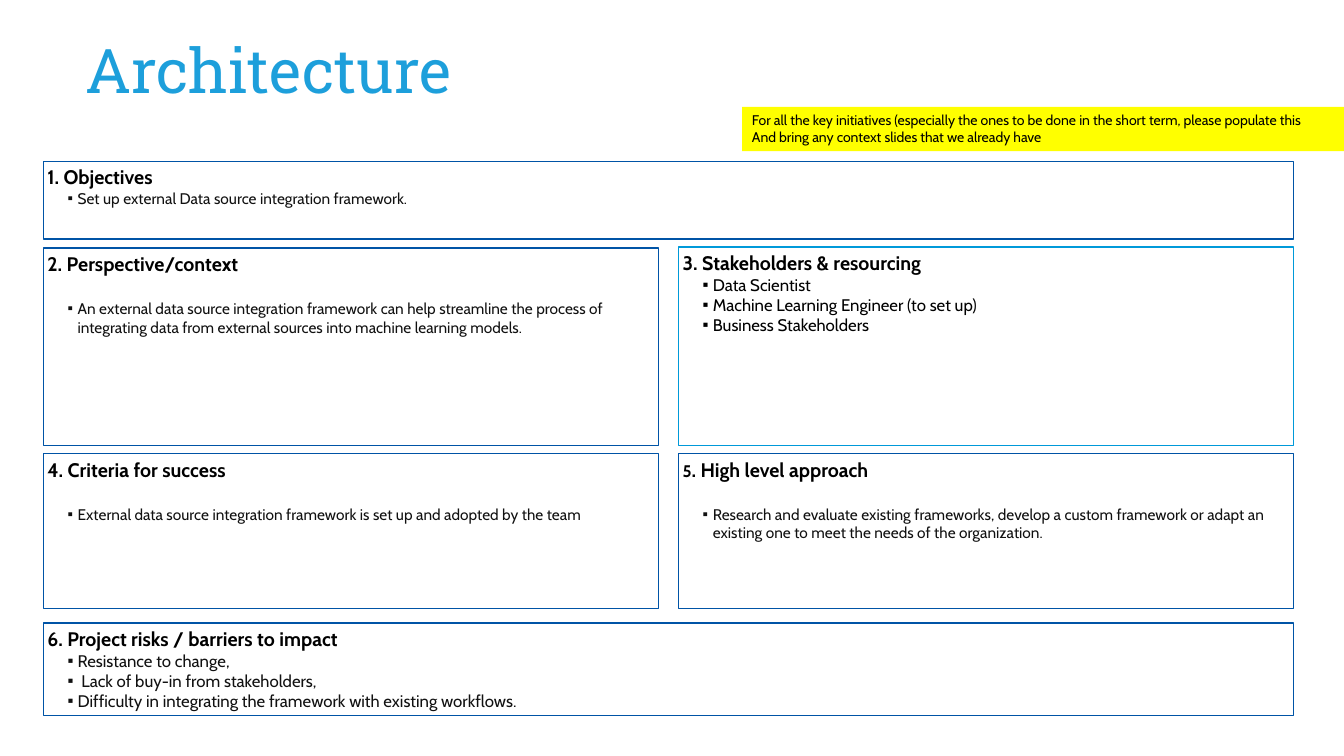
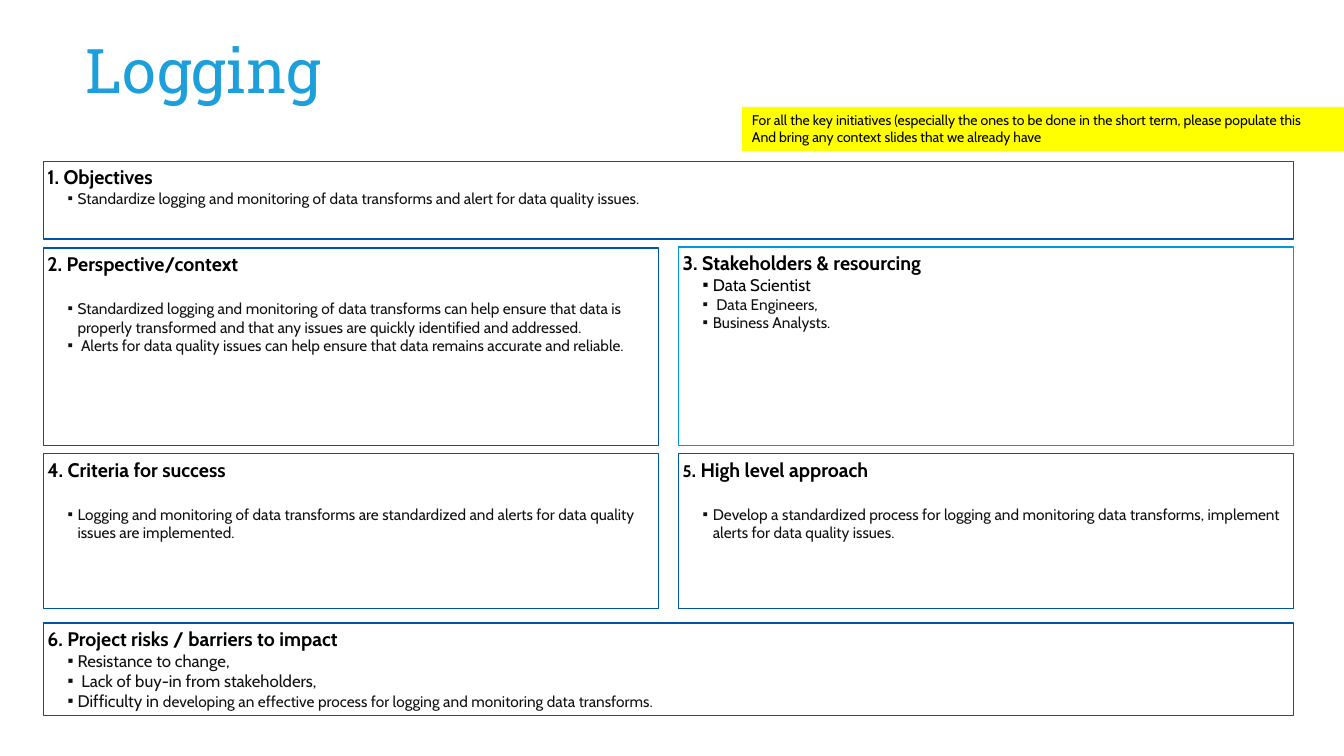
from dataclasses import dataclass

from lxml import etree
from pptx import Presentation
from pptx.dml.color import RGBColor
from pptx.enum import shapes, text
from pptx.oxml import ns
from pptx.util import Inches, Pt

# Colours and fonts
BLACK = RGBColor(0x00, 0x00, 0x00)
INK = RGBColor(0x11, 0x11, 0x11)
NAVY = RGBColor(0x00, 0x54, 0xA6)
SKY = RGBColor(0x00, 0x99, 0xD9)
TITLE_BLUE = RGBColor(0x1D, 0x9F, 0xDB)
YELLOW = RGBColor(0xFF, 0xFF, 0x00)
BODY_FONT, TITLE_FONT = "Cabin", "Roboto Slab"

# Grid of sections, in inches
SLIDE_W, SLIDE_H = 13.33, 7.5
LEFT, HALF, GAP = 0.43, 6.1, 0.2
RIGHT = LEFT + HALF + GAP
FULL = 2 * HALF + GAP
INSET = 0.04
HEADING_GAP = 17  # points, one heading line


@dataclass
class Run:
    wording: str
    size: float = 11
    color: RGBColor = INK


@dataclass
class Section:
    heading: list
    left: float
    top: float
    width: float
    height: float
    border: RGBColor = NAVY
    gap: float = 0


def heading(wording):
    return [Run(wording, 14, BLACK)]


SECTIONS = [
    Section(heading("1. Objectives"), LEFT, 1.6, FULL, 0.77),
    Section(heading("2. Perspective/context"), LEFT, 2.46, HALF, 1.96, gap=HEADING_GAP),
    Section(heading("3. Stakeholders & resourcing"), RIGHT, 2.45, HALF, 1.97, border=SKY),
    Section(heading("4. Criteria for success"), LEFT, 4.5, HALF, 1.54, gap=HEADING_GAP),
    Section([Run("5", 12, BLACK)] + heading(". High level approach"),
            RIGHT, 4.5, HALF, 1.54, gap=HEADING_GAP),
    Section(heading("6. Project risks / barriers to impact"), LEFT, 6.18, FULL, 0.92),
]

NOTE = [
    "For all the key initiatives (especially the ones to be done in the short term, "
    "please populate this",
    "And bring any context slides that we already have",
]

# Bullets that both slides share
DATA_SCIENTIST = [Run("Data Scientist", 12, BLACK)]
SHARED_RISKS = [
    [Run("Resistance to change,", 12)],
    [Run(" Lack of buy-in from stakeholders,", 12)],
]

# Title, then the bullets of each section in order
INITIATIVES = {
    "Architecture": [
        [[Run("Set up external Data source integration framework.")]],
        [[Run("An external data source integration framework can help streamline the "
              "process of integrating data from external sources into machine learning "
              "models.")]],
        [DATA_SCIENTIST,
         [Run("Machine Learning Engineer (to set up)", 12, BLACK)],
         [Run("Business Stakeholders", 12, BLACK)]],
        [[Run("External data source integration framework is set up and adopted by the "
              "team")]],
        [[Run("Research and evaluate existing frameworks, develop a custom framework or "
              "adapt an existing one to meet the needs of the organization.")]],
        SHARED_RISKS + [
            [Run("Difficulty in integrating the framework with existing workflows.", 12)]],
    ],
    "Logging": [
        [[Run("Standardize logging and monitoring of data transforms and alert for data "
              "quality issues.")]],
        [[Run("Standardized logging and monitoring of data transforms can help ensure "
              "that data is properly transformed and that any issues are quickly "
              "identified and addressed.")],
         [Run(" Alerts for data quality issues can help ensure that data remains "
              "accurate and reliable.")]],
        [DATA_SCIENTIST, [Run(" Data Engineers,")], [Run("Business Analysts.")]],
        [[Run("Logging and monitoring of data transforms are standardized and alerts for "
              "data quality issues are implemented.")]],
        [[Run("Develop a standardized process for logging and monitoring data "
              "transforms, implement alerts for data quality issues.")]],
        SHARED_RISKS + [
            [Run("Difficulty in ", 12),
             Run("developing an effective process for logging and monitoring data "
                 "transforms.")]],
    ],
}


def add_bullet(paragraph):
    """Give the paragraph a square bullet with a hanging indent."""
    props = paragraph._p.get_or_add_pPr()
    props.set("marL", str(Inches(0.3)))
    props.set("indent", str(Inches(-0.1)))
    etree.SubElement(props, ns.qn("a:buFont")).set("typeface", "Arial")
    etree.SubElement(props, ns.qn("a:buChar")).set("char", "▪")


def write(frame, runs, font=BODY_FONT, bold=False, bullet=False, after=0, spacing=None):
    """Write one paragraph, using the empty first one when there is no text yet."""
    paragraph = frame.paragraphs[0] if not frame.text else frame.add_paragraph()
    paragraph.alignment = text.PP_ALIGN.LEFT
    paragraph.space_after = Pt(after)
    if spacing:
        paragraph.line_spacing = spacing
    if bullet:
        add_bullet(paragraph)
    for part in runs:
        run = paragraph.add_run()
        run.text = part.wording
        run.font.name, run.font.size, run.font.bold = font, Pt(part.size), bold
        run.font.color.rgb = part.color


def add_box(slide, left, top, width, height, fill=None, border=None):
    """Add a rectangle and return its wrapped, top-anchored text frame."""
    box = slide.shapes.add_shape(shapes.MSO_SHAPE.RECTANGLE, Inches(left), Inches(top),
                                 Inches(width), Inches(height))
    box.shadow.inherit = False
    if fill is None:
        box.fill.background()
    else:
        box.fill.solid()
        box.fill.fore_color.rgb = fill
    if border is None:
        box.line.fill.background()
    else:
        box.line.color.rgb = border
        box.line.width = Pt(1)
    frame = box.text_frame
    frame.word_wrap = True
    frame.vertical_anchor = text.MSO_ANCHOR.TOP
    return frame


def add_title(slide, wording):
    title = slide.shapes.add_textbox(Inches(0.75), Inches(0.14), Inches(11.7), Inches(1.17))
    frame = title.text_frame
    frame.word_wrap = True
    frame.vertical_anchor = text.MSO_ANCHOR.MIDDLE
    write(frame, [Run(wording, 44, TITLE_BLUE)], font=TITLE_FONT, spacing=0.9)


def add_section(slide, section, bullets):
    frame = add_box(slide, section.left, section.top, section.width, section.height,
                    border=section.border)
    frame.margin_left = frame.margin_right = Inches(INSET)
    frame.margin_top = frame.margin_bottom = Inches(INSET)
    write(frame, section.heading, bold=True, after=section.gap)
    for bullet in bullets:
        write(frame, bullet, bullet=True)


def add_note(slide):
    left = 7.36
    frame = add_box(slide, left, 1.06, SLIDE_W - left, 0.44, fill=YELLOW)
    for line in NOTE:
        write(frame, [Run(line, 10, BLACK)])


def main():
    deck = Presentation()
    deck.slide_width, deck.slide_height = Inches(SLIDE_W), Inches(SLIDE_H)
    for title, section_bullets in INITIATIVES.items():
        slide = deck.slides.add_slide(deck.slide_layouts[6])
        add_title(slide, title)
        for section, bullets in zip(SECTIONS, section_bullets):
            add_section(slide, section, bullets)
        add_note(slide)
    deck.save("out.pptx")


if __name__ == "__main__":
    main()
